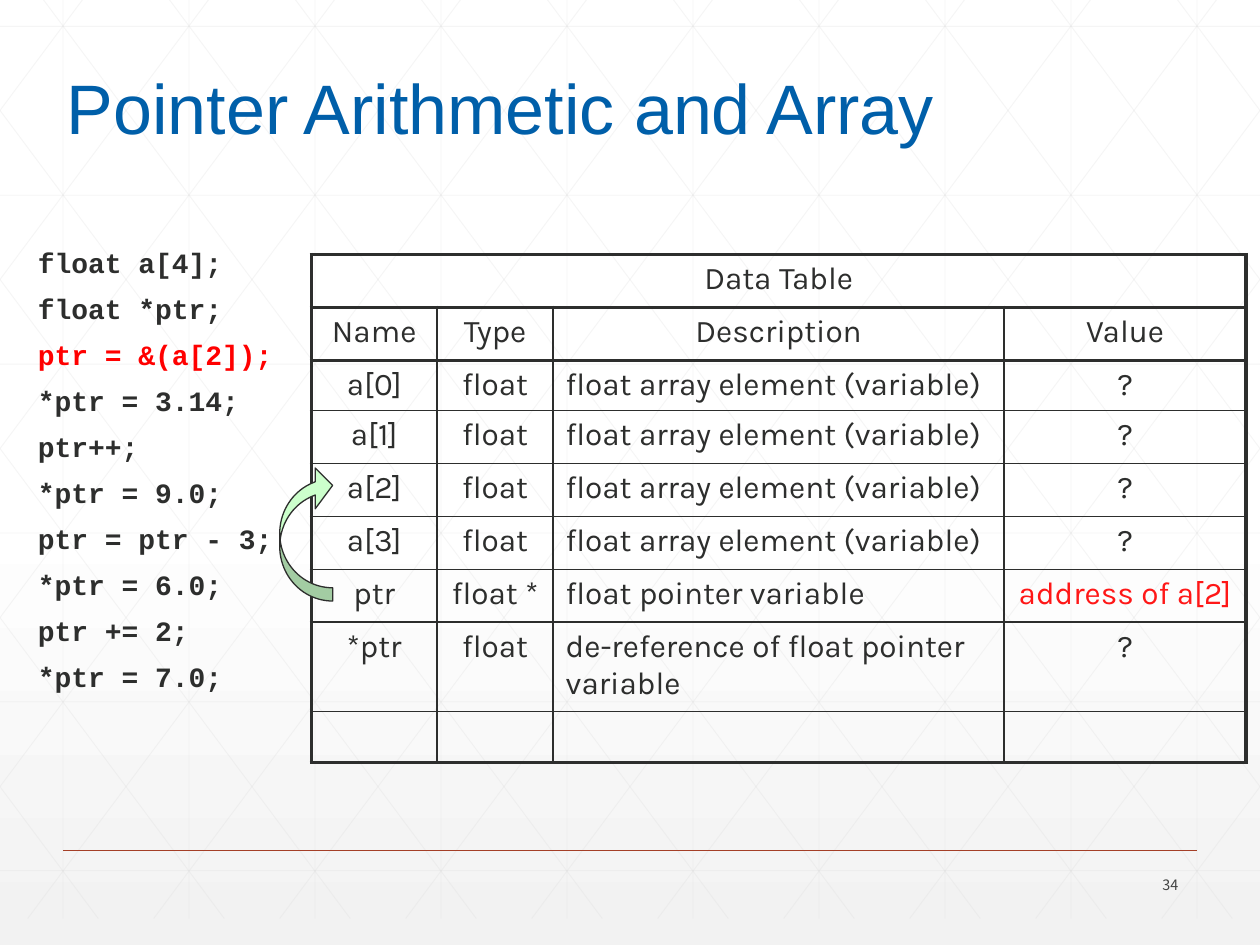
"""Build the slide on pointer arithmetic and arrays."""
from copy import deepcopy

from lxml.etree import SubElement
from pptx import Presentation
from pptx.dml.color import RGBColor
from pptx.enum.shapes import MSO_CONNECTOR, MSO_SHAPE
from pptx.enum.text import MSO_ANCHOR, MSO_AUTO_SIZE, PP_ALIGN
from pptx.oxml.ns import qn
from pptx.util import Inches, Pt

WHITE = RGBColor(0xFF, 0xFF, 0xFF)
PALE_GRAY = RGBColor(0xF2, 0xF2, 0xF2)
GRID_GRAY = RGBColor(0xD9, 0xD9, 0xD9)
RUST = RGBColor(0xA4, 0x3F, 0x27)
NUMBER_GRAY = RGBColor(0x42, 0x43, 0x42)
BLUE = RGBColor(0x00, 0x5F, 0xA9)
INK = RGBColor(0x2D, 0x2E, 0x2D)
CODE_RED = RGBColor(0xFF, 0x00, 0x00)
VALUE_RED = RGBColor(0xFF, 0x17, 0x17)
MINT = RGBColor(0xCC, 0xFF, 0xCC)

GRID_TOP, GRID_BOTTOM, DIAGONAL_RUN = -0.21, 7.29, 5.59
SLOPE = (GRID_BOTTOM - GRID_TOP) / DIAGONAL_RUN

CODE = [
    "float a[4];",
    "float *ptr;",
    "ptr = &(a[2]);",
    "*ptr = 3.14;",
    "ptr++;",
    "*ptr = 9.0;",
    "ptr = ptr - 3;",
    "*ptr = 6.0;",
    "ptr += 2;",
    "*ptr = 7.0;",
]
ELEMENT_ROWS = [
    [f"a[{index}]", "float", "float array element (variable)", "?"] for index in range(4)
]
ROWS = [
    ["Data Table", "", "", ""],
    ["Name", "Type", "Description", "Value"],
    *ELEMENT_ROWS,
    ["ptr", "float *", "float pointer variable", "address of a[2]"],
    ["*ptr", "float", "de-reference of float pointer variable", "?"],
    ["", "", "", ""],
]
COLUMN_WIDTHS = [1, 0.92, 3.58, 1.92]
ROW_HEIGHTS = [0.42, 0.42, 0.4, 0.42, 0.42, 0.42, 0.42, 0.71, 0.4]


def add_line(shapes, start, end, color, width, opacity=100):
    line = shapes.add_connector(
        MSO_CONNECTOR.STRAIGHT, *(Inches(value) for value in (*start, *end))
    )
    line.line.color.rgb = color
    line.line.width = Pt(width)
    properties = line.element.spPr
    SubElement(properties, qn("a:effectLst"))
    if opacity < 100:
        color_element = properties.find(".//" + qn("a:srgbClr"))
        SubElement(color_element, qn("a:alpha"), val=str(opacity * 1000))


def add_run(paragraph, text, font_name, size, color, bold=False):
    run = paragraph.add_run()
    run.text = text
    run.font.name = font_name
    run.font.size = Pt(size)
    run.font.bold = bold
    run.font.color.rgb = color


presentation = Presentation()
presentation.slide_width = Inches(10)
presentation.slide_height = Inches(7.5)
slide = presentation.slides.add_slide(presentation.slide_layouts[1])
shapes = slide.shapes

background = slide.background.fill
background.gradient()
background.gradient_angle = 270
first_stop = slide.element.find(".//" + qn("a:gs"))
first_stop.addnext(deepcopy(first_stop))
for stop, position, color in zip(
    background.gradient_stops, (0, 0.53, 1), (WHITE, WHITE, PALE_GRAY)
):
    stop.position = position
    stop.color.rgb = color

grid = shapes.add_group_shape().shapes
grid_lines = [((0.5 + i, GRID_TOP), (0.5 + i, GRID_BOTTOM)) for i in range(10)]
grid_lines += [((0, 0.21 + 1.34 * i), (10, 0.21 + 1.34 * i)) for i in range(6)]
for step in range(-5, 10):
    top_x = 0.19 + step
    left, right = max(top_x, 0), min(top_x + DIAGONAL_RUN, 10)
    upper = GRID_TOP + (left - top_x) * SLOPE
    lower = GRID_TOP + (right - top_x) * SLOPE
    grid_lines.append(((left, upper), (right, lower)))
    grid_lines.append(((10 - left, upper), (10 - right, lower)))
for start, end in grid_lines:
    add_line(grid, start, end, GRID_GRAY, 0.5, opacity=25)
add_line(shapes, (0.5, 6.75), (9.5, 6.75), RUST, 1)

number_box = shapes.add_textbox(Inches(8.7), Inches(6.9), Inches(0.75), Inches(0.24))
number_frame = number_box.text_frame
number_frame.word_wrap = True
number_frame.vertical_anchor = MSO_ANCHOR.MIDDLE
number_frame.paragraphs[0].alignment = PP_ALIGN.RIGHT
add_run(number_frame.paragraphs[0], "34", "Noto Sans CJK TC", 8.2, NUMBER_GRAY)

title, body = shapes.title, slide.placeholders[1]
for placeholder, box in ((title, (0.43, 0.46, 7.16, 0.77)), (body, (0.2, 1.93, 2.25, 4.5))):
    placeholder.left, placeholder.top, placeholder.width, placeholder.height = map(Inches, box)
    placeholder.text_frame.vertical_anchor = MSO_ANCHOR.TOP
    placeholder.element.getparent().append(placeholder.element)

title_frame = title.text_frame
title_frame.word_wrap = False
title_frame.auto_size = MSO_AUTO_SIZE.SHAPE_TO_FIT_TEXT
title_frame.paragraphs[0].alignment = PP_ALIGN.LEFT
add_run(title_frame.paragraphs[0], "Pointer Arithmetic and Array", "Arial", 40, BLUE)

code_frame = body.text_frame
code_frame.word_wrap = True
code_frame.auto_size = MSO_AUTO_SIZE.NONE
for index, statement in enumerate(CODE):
    paragraph = code_frame.add_paragraph() if index else code_frame.paragraphs[0]
    properties = paragraph._p.get_or_add_pPr()
    properties.set("marL", str(Inches(0.19)))
    properties.set("indent", str(Inches(-0.19)))
    SubElement(properties, qn("a:buNone"))
    paragraph.line_spacing = 0.9
    paragraph.space_before = Pt(9 if index else 0)
    color = CODE_RED if index == 2 else INK
    add_run(paragraph, statement, "Courier New", 16, color, bold=True)

table = shapes.add_table(
    len(ROWS), len(COLUMN_WIDTHS), Inches(2.47), Inches(2.02),
    Inches(sum(COLUMN_WIDTHS)), Inches(sum(ROW_HEIGHTS)),
).table
table.first_row = table.horz_banding = False
for column, width in zip(table.columns, COLUMN_WIDTHS):
    column.width = Inches(width)
for row, height in zip(table.rows, ROW_HEIGHTS):
    row.height = Inches(height)
table.cell(0, 0).merge(table.cell(0, 3))

for row_index, texts in enumerate(ROWS):
    for column_index, text in enumerate(texts):
        cell = table.cell(row_index, column_index)
        cell.fill.background()
        heading = row_index == 0
        thick_edges = {
            "a:lnL": heading or column_index == 0,
            "a:lnR": heading or column_index == 3,
            "a:lnT": row_index <= 2,
            "a:lnB": row_index <= 1 or row_index == len(ROWS) - 1,
        }
        cell_properties = cell._tc.get_or_add_tcPr()
        for position, (edge, thick) in enumerate(thick_edges.items()):
            border = SubElement(cell_properties, qn(edge), w=str(Pt(2.25 if thick else 1)))
            border_fill = SubElement(border, qn("a:solidFill"))
            SubElement(border_fill, qn("a:srgbClr"), val=str(INK))
            cell_properties.insert(position, border)
        if text:
            paragraph = cell.text_frame.paragraphs[0]
            description = column_index == 2 and row_index > 1
            paragraph.alignment = PP_ALIGN.LEFT if description else PP_ALIGN.CENTER
            color = VALUE_RED if text.startswith("address") else INK
            add_run(paragraph, text, "Karla", 18, color)

pointer_arrow = shapes.add_shape(
    MSO_SHAPE.CURVED_LEFT_ARROW, Inches(2.22), Inches(3.69), Inches(0.42), Inches(1.08)
)
pointer_arrow.rotation = 180
for index, adjustment in enumerate((0.25, 0.77, 0.33)):
    pointer_arrow.adjustments[index] = adjustment
pointer_arrow.shadow.inherit = False
pointer_arrow.fill.solid()
pointer_arrow.fill.fore_color.rgb = MINT
pointer_arrow.line.color.rgb = INK
pointer_arrow.line.width = Pt(0.75)

presentation.save("out.pptx")
